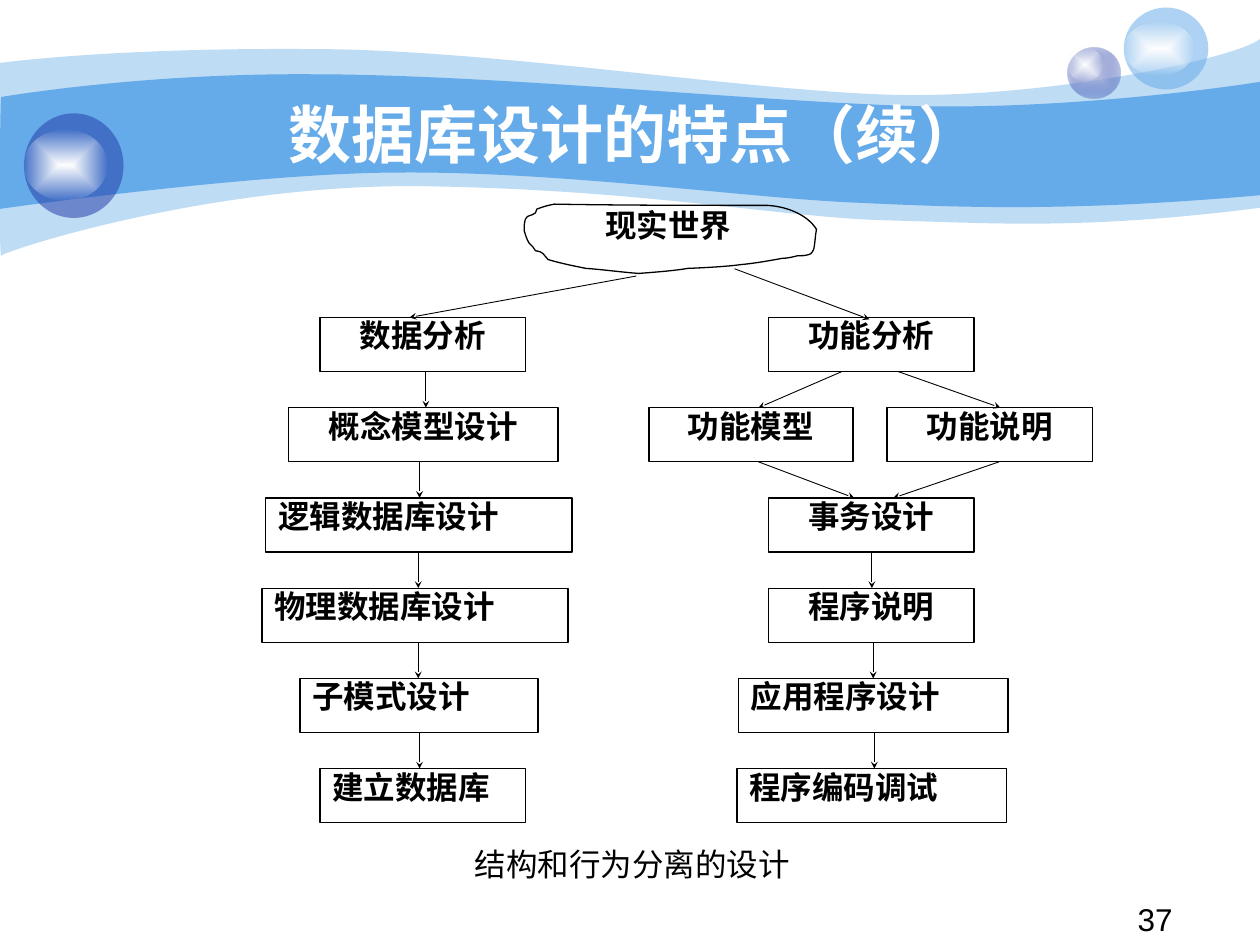
from dataclasses import dataclass

from pptx import Presentation
from pptx.dml.color import RGBColor
from pptx.enum.shapes import MSO_CONNECTOR as LINK, MSO_SHAPE as SHAPE
from pptx.enum.text import MSO_ANCHOR as ANCHOR, MSO_AUTO_SIZE as FIT, PP_ALIGN as ALIGN
from pptx.oxml import parse_xml
from pptx.oxml.ns import nsdecls, qn
from pptx.util import Inches, Pt

SKY, NAVY = RGBColor(0x65, 0xAA, 0xE9), RGBColor(0x23, 0x3D, 0xA9)
LILAC, PEARL = RGBColor(0xC6, 0xCC, 0xE8), RGBColor(0xFE, 0xFE, 0xFE)
WHITE, BLACK = RGBColor(0xFF, 0xFF, 0xFF), RGBColor(0, 0, 0)


@dataclass
class Box:
    """A region divided into equal columns and rows."""
    left: float
    top: float
    width: float
    height: float
    cols: float
    rows: float

    def point(self, col, row):
        return (Inches(self.left + col * self.width / self.cols),
                Inches(self.top + row * self.height / self.rows))

    def area(self, col, row, cols, rows):
        x, y = self.point(col, row)
        right, bottom = self.point(col + cols, row + rows)
        return x, y, right - x, bottom - y


# Drawing helpers
def tint(shape, color, alpha=None):
    shape.fill.solid()
    shape.fill.fore_color.rgb = color
    if alpha is not None:
        fill_color = shape.element.spPr.find(qn("a:solidFill"))[0]
        fill_color.append(parse_xml(f'<a:alpha {nsdecls("a")} val="{alpha * 1000}"/>'))


def glow(shape, inner, outer, alpha):
    shape.fill.background()
    empty = shape.element.spPr.find(qn("a:noFill"))
    empty.getparent().replace(empty, parse_xml(
        f'<a:gradFill {nsdecls("a")} rotWithShape="1"><a:gsLst>'
        f'<a:gs pos="0"><a:srgbClr val="{inner}"/></a:gs>'
        f'<a:gs pos="100000"><a:srgbClr val="{outer}"><a:alpha val="{alpha * 1000}"/></a:srgbClr></a:gs>'
        '</a:gsLst><a:path path="rect"><a:fillToRect l="50000" t="50000" r="50000" b="50000"/>'
        '</a:path></a:gradFill>'))


def outline(shapes, box, start, steps):
    """Draw straight steps (x, y) and Bezier steps (x1, y1, x2, y2, x, y)."""
    points = [box.point(*step[i:i + 2]) for step in steps for i in range(0, len(step), 2)]
    builder = shapes.build_freeform(*box.point(*start))
    builder.add_line_segments(points, close=True)
    shape = builder.convert_to_shape()
    shape.shadow.inherit = False
    # Join each three points of a Bezier step into one curve
    lines = iter(list(shape.element.iter(qn("a:lnTo"))))
    for step in steps:
        parts = [next(lines) for _ in range(len(step) // 2)]
        if len(parts) == 3:
            curve = parse_xml(f'<a:cubicBezTo {nsdecls("a")}/>')
            parts[0].addprevious(curve)
            for part in parts:
                curve.append(part[0])
                part.getparent().remove(part)
    return shape


def write(shape, text, font="Times New Roman", size=18, color=BLACK, bold=False,
          align=ALIGN.LEFT, anchor=ANCHOR.TOP, spacing=1.0):
    frame = shape.text_frame
    frame.word_wrap, frame.auto_size, frame.vertical_anchor = True, FIT.NONE, anchor
    frame.text = text
    line = frame.paragraphs[0]
    line.alignment, line.line_spacing = align, spacing
    line.font.name, line.font.size, line.font.bold = font, Pt(size), bold
    line.font.color.rgb = color


# Wavy header with three bubbles
def draw_header(shapes, box):
    pale = outline(shapes, box, (0, 50), [
        (24, 47, 107, 38, 247, 39), (386, 39, 575, 70, 699, 75), (822, 80, 980, 47, 1000, 31),
        (1000, 165), (858, 183, 787, 177, 705, 175), (622, 173, 515, 151, 343, 148),
        (172, 144, 4, 199, 1, 203), (-1, 208, 0, 75, 0, 50)])
    deep = outline(shapes, box, (1, 77), [
        (2, 77, 110, 58, 248, 59), (386, 59, 595, 80, 718, 84), (841, 88, 976, 69, 1000, 65),
        (1000, 155), (853, 168, 765, 165, 682, 161), (599, 158, 447, 136, 317, 137),
        (203, 137, -2, 166, -1, 166), (0, 166, 0, 77, 1, 77)])
    tint(pale, SKY, 41)
    tint(deep, SKY)
    for wave in (pale, deep):
        wave.line.fill.background()

    def bubble(*cells):
        ball = shapes.add_shape(SHAPE.OVAL, *box.area(*cells))
        ball.shadow.inherit = False
        ball.line.fill.background()
        return ball

    glow(bubble(847, 38, 42, 40), LILAC, NAVY, 31)
    glow(bubble(847, 38, 28, 27), WHITE, PEARL, 0)
    for ball, shine, color in (((892, 6, 67, 65), (892, 17, 56, 43), SKY),
                               ((19, 90, 79, 83), (19, 103, 66, 56), NAVY)):
        tint(bubble(*ball), color, 53)
        glow(bubble(*shine), WHITE, PEARL, 0)


def place_title(title, box):
    title.left, title.top, title.width, title.height = box.area(0, 0, 1, 1)
    title.element.getparent().append(title.element)  # in front of the waves
    write(title, "数据库设计的特点（续）", "Arial", 36, WHITE, True, ALIGN.CENTER, ANCHOR.MIDDLE)


# Root of the flow
def draw_real_world(shapes, box):
    cloud = outline(shapes, box, (10, 4), [
        (15, 2, 19, 1, 24, 0), (80, 1, 137, 1, 193, 1), (211, 2, 226, 10, 232, 20),
        (231, 25, 231, 30, 230, 35), (230, 36, 228, 40, 226, 40), (223, 41, 220, 41, 217, 41),
        (213, 42, 209, 43, 205, 43), (194, 45, 183, 47, 172, 48), (158, 50, 130, 51, 130, 51),
        (118, 53, 104, 54, 91, 55), (77, 54, 63, 52, 49, 51), (39, 49, 29, 47, 19, 44),
        (15, 40, 16, 38, 9, 37), (8, 36, 8, 35, 7, 34), (6, 33, 5, 32, 4, 31),
        (2, 28, 1, 24, 0, 21), (0, 18, 0, 15, 1, 12), (3, 8, 5, 10, 9, 7), (10, 6, 10, 5, 10, 4)])
    cloud.fill.background()
    cloud.line.color.rgb, cloud.line.width = BLACK, Pt(0.74)
    label = shapes.add_textbox(*box.area(36, 2, 157, 51))
    write(label, "现实世界", bold=True, align=ALIGN.CENTER, spacing=0.8)


# Steps: row, left column, width, label, alignment
BOX_ROWS = 0.6
STEPS = [
    (1, 22.9, 21.4, "概念模型设计", ALIGN.CENTER), (4, 23.8, 18.9, "子模式设计", ALIGN.JUSTIFY),
    (3, 20.8, 24.3, "物理数据库设计", ALIGN.JUSTIFY), (2, 21.1, 24.3, "逻辑数据库设计", ALIGN.JUSTIFY),
    (5, 25.4, 16.3, "建立数据库", ALIGN.JUSTIFY), (0, 25.4, 16.3, "数据分析", ALIGN.CENTER),
    (0, 61, 16.3, "功能分析", ALIGN.CENTER), (1, 51.5, 16.2, "功能模型", ALIGN.CENTER),
    (1, 70.4, 16.3, "功能说明", ALIGN.CENTER), (2, 61, 16.3, "事务设计", ALIGN.CENTER),
    (3, 61, 16.3, "程序说明", ALIGN.CENTER), (4, 58.6, 21.4, "应用程序设计", ALIGN.JUSTIFY),
    (5, 58.5, 21.4, "程序编码调试", ALIGN.JUSTIFY)]
# Links below a row: row, start column, end column
DATA_LINKS = [(0, 33.8, 33.8), (1, 33.3, 33.3), (2, 33.2, 33.2), (3, 33.2, 33.2), (4, 33.3, 33.3)]
FUNCTION_LINKS = [(0, 66.8, 60.2), (0, 71.3, 79.4), (1, 60.2, 67.8), (1, 79.3, 70.9),
                  (2, 69.2, 69.2), (3, 69.3, 69.3), (4, 69.4, 69.4)]


def draw_flow(shapes, box):
    for row, col, cols, label, align in STEPS:
        step = shapes.add_shape(SHAPE.RECTANGLE, *box.area(col, row, cols, BOX_ROWS))
        step.shadow.inherit = False
        step.fill.background()
        step.line.color.rgb, step.line.width = BLACK, Pt(0.74)
        write(step, label, bold=True, align=align, spacing=0.8)

    def arrow(start, end):
        link = shapes.add_connector(LINK.STRAIGHT, *box.point(*start), *box.point(*end))
        link.line.color.rgb, link.line.width = BLACK, Pt(0.51)
        link.element.spPr.find(qn("a:ln")).append(
            parse_xml(f'<a:tailEnd {nsdecls("a")} type="stealth" w="sm" len="sm"/>'))
        link.element.spPr.append(parse_xml(f'<a:effectLst {nsdecls("a")}/>'))

    for root, target, links in (((50.5, -0.46), (32.5, 0), DATA_LINKS),
                                ((58.3, -0.54), (69, 0.02), FUNCTION_LINKS)):
        arrow(root, target)
        for row, start, end in links:
            arrow((start, row + BOX_ROWS), (end, row + 1))


# Caption and page number
def draw_footer(shapes, box):
    caption = shapes.add_textbox(*box.area(36.7, 0, 27.5, 40))
    write(caption, "结构和行为分离的设计", anchor=ANCHOR.MIDDLE)
    number = shapes.add_textbox(*box.area(89.3, 47, 13.4, 37))
    write(number, "37", "Arial", align=ALIGN.JUSTIFY, spacing=0.9)
    number.text_frame.paragraphs[0].space_before = Pt(4.5)


deck = Presentation()
deck.slide_width, deck.slide_height = Inches(10), Inches(7.5)
slide = deck.slides.add_slide(deck.slide_layouts[5])
draw_header(slide.shapes, Box(0, 0, 10, 2.08, 1000, 208))
place_title(slide.shapes.title, Box(1, 0.75, 8.08, 0.62, 1, 1))
draw_real_world(slide.shapes, Box(4.16, 1.62, 2.32, 0.55, 232, 55))
draw_flow(slide.shapes, Box(0, 2.52, 10, 4.01, 100, 5 + BOX_ROWS))
draw_footer(slide.shapes, Box(0, 6.66, 10, 0.84, 100, 84))
deck.save("out.pptx")
